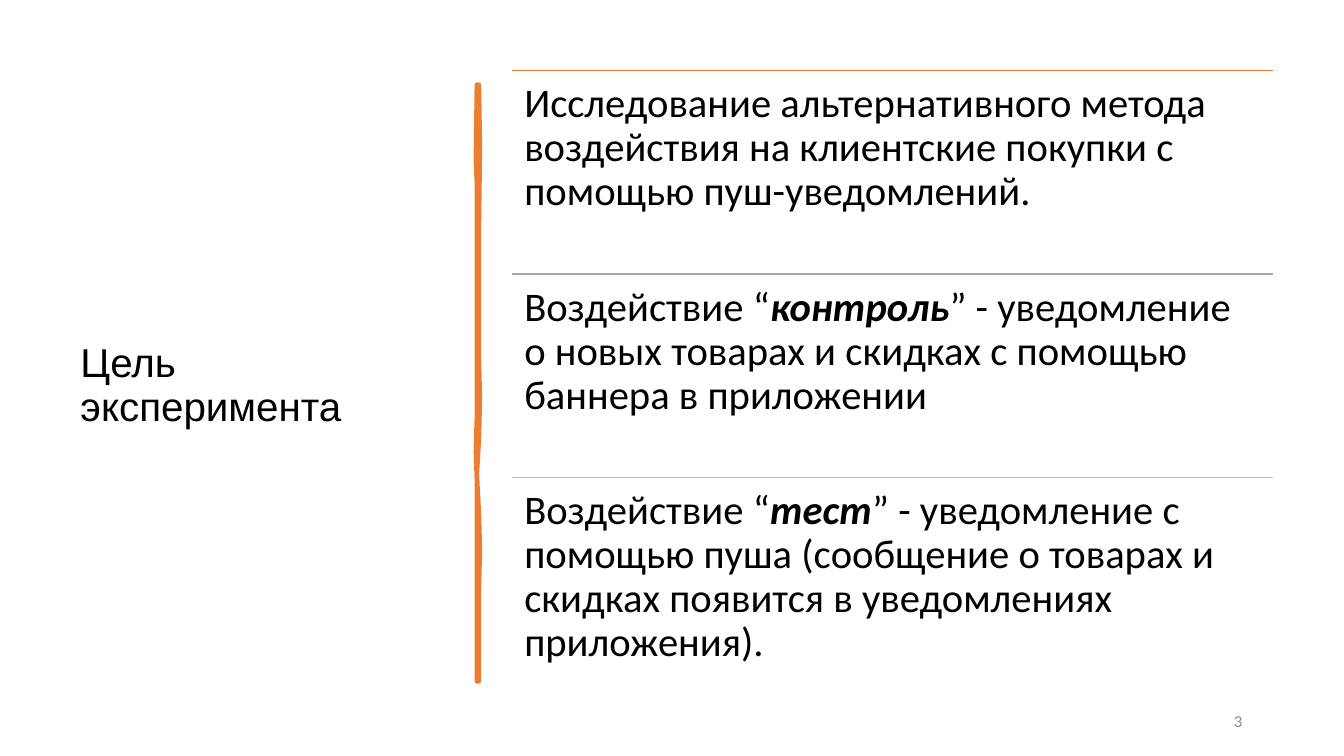
from pptx import Presentation
from pptx.dml.color import RGBColor
from pptx.enum.shapes import MSO_CONNECTOR
from pptx.enum.text import MSO_ANCHOR, PP_ALIGN
from pptx.oxml.ns import qn
from pptx.util import Inches, Pt
from lxml.etree import SubElement

COLORS = {
    "text": "000000",
    "number": "8C8C8C",
    "orange": "ED7D31",
    "gray": "A5A5A5",
    "gold": "FFC000",
}

GOALS = [
    ("orange", ["Исследование альтернативного метода воздействия на клиентские "
                "покупки с помощью пуш-уведомлений."]),
    ("gray", ["Воздействие “", "контроль",
              "” - уведомление о новых товарах и скидках с помощью баннера в приложении"]),
    ("gold", ["Воздействие “", "тест",
              "” - уведомление с помощью пуша (сообщение о товарах и скидках "
              "появится в уведомлениях приложения)."]),
]
GOAL_LEFT, GOAL_TOP, GOAL_WIDTH, GOAL_HEIGHT = 5.08, 0.7, 7.55, 2.02

STROKE_OUTLINE = [
    (4.75, 0.84), (4.76, 1.46), (4.75, 2.26), (4.75, 2.94), (4.75, 3.56),
    (4.76, 3.95), (4.75, 4.36), (4.73, 4.7), (4.75, 5.1), (4.76, 5.45),
    (4.75, 5.84), (4.75, 6.76), (4.73, 6.76), (4.73, 6.13), (4.73, 5.57),
    (4.73, 4.77), (4.72, 4.45), (4.73, 4.15), (4.73, 3.35), (4.73, 2.5),
    (4.73, 1.81), (4.72, 1.6), (4.73, 0.84),
]


def rgb(name):
    return RGBColor.from_string(COLORS[name])


def add_text(s, box, parts, size, font="Calibri", color="text", inset=None,
             anchor=MSO_ANCHOR.TOP, align=PP_ALIGN.LEFT, spacing=0.9):
    sp = s.shapes.add_textbox(*(Inches(v) for v in box))
    tf = sp.text_frame
    tf.word_wrap = True
    tf.vertical_anchor = anchor
    if inset is not None:
        tf.margin_left = tf.margin_right = Inches(inset)
        tf.margin_top = tf.margin_bottom = Inches(inset)
    p = tf.paragraphs[0]
    p.alignment = align
    p.line_spacing = spacing
    p.font.size = Pt(size)
    p.font.name = font
    p.font.color.rgb = rgb(color)
    for i, part in enumerate(parts):
        r = p.add_run()
        r.text = part
        if i == 1:
            r.font.bold = r.font.italic = True


def add_rule(s, left, top, width, color):
    line = s.shapes.add_connector(
        MSO_CONNECTOR.STRAIGHT,
        Inches(left), Inches(top), Inches(left + width), Inches(top))
    line.line.color.rgb = rgb(color)
    line.line.width = Pt(1)
    SubElement(line._element.spPr, qn("a:effectLst"))


def add_brush_stroke(s):
    start, *points = [(Inches(x), Inches(y)) for x, y in STROKE_OUTLINE]
    builder = s.shapes.build_freeform(*start)
    builder.add_line_segments(points, close=True)
    sp = builder.convert_to_shape()
    sp.shadow.inherit = False
    sp.fill.solid()
    sp.fill.fore_color.rgb = rgb("orange")
    sp.line.color.rgb = rgb("orange")
    sp.line.width = Pt(3.25)


def main():
    prs = Presentation()
    prs.slide_width, prs.slide_height = Inches(13.33), Inches(7.5)
    s = prs.slides.add_slide(prs.slide_layouts[6])
    add_text(s, (0.7, 0.78, 3.74, 6.11), ["Цель эксперимента"], 28.8,
             font="Arial", anchor=MSO_ANCHOR.MIDDLE)
    add_brush_stroke(s)
    add_text(s, (9.42, 6.95, 3, 0.4), ["3"], 12, color="number",
             anchor=MSO_ANCHOR.MIDDLE, align=PP_ALIGN.RIGHT, spacing=1.0)
    for i, (color, parts) in enumerate(GOALS):
        top = GOAL_TOP + i * GOAL_HEIGHT
        add_rule(s, GOAL_LEFT, top, GOAL_WIDTH, color)
        add_text(s, (GOAL_LEFT, top, GOAL_WIDTH, GOAL_HEIGHT), parts, 29, inset=0.12)
    prs.save("out.pptx")


if __name__ == "__main__":
    main()
